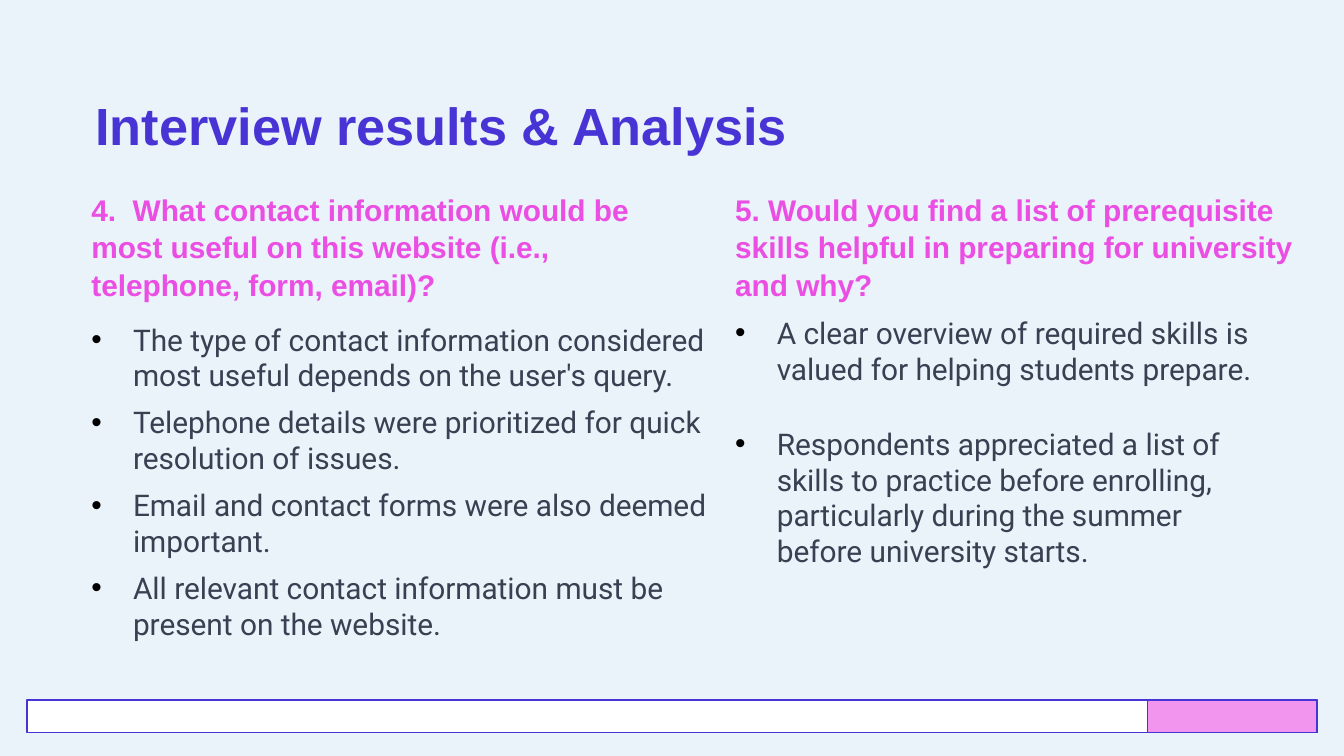
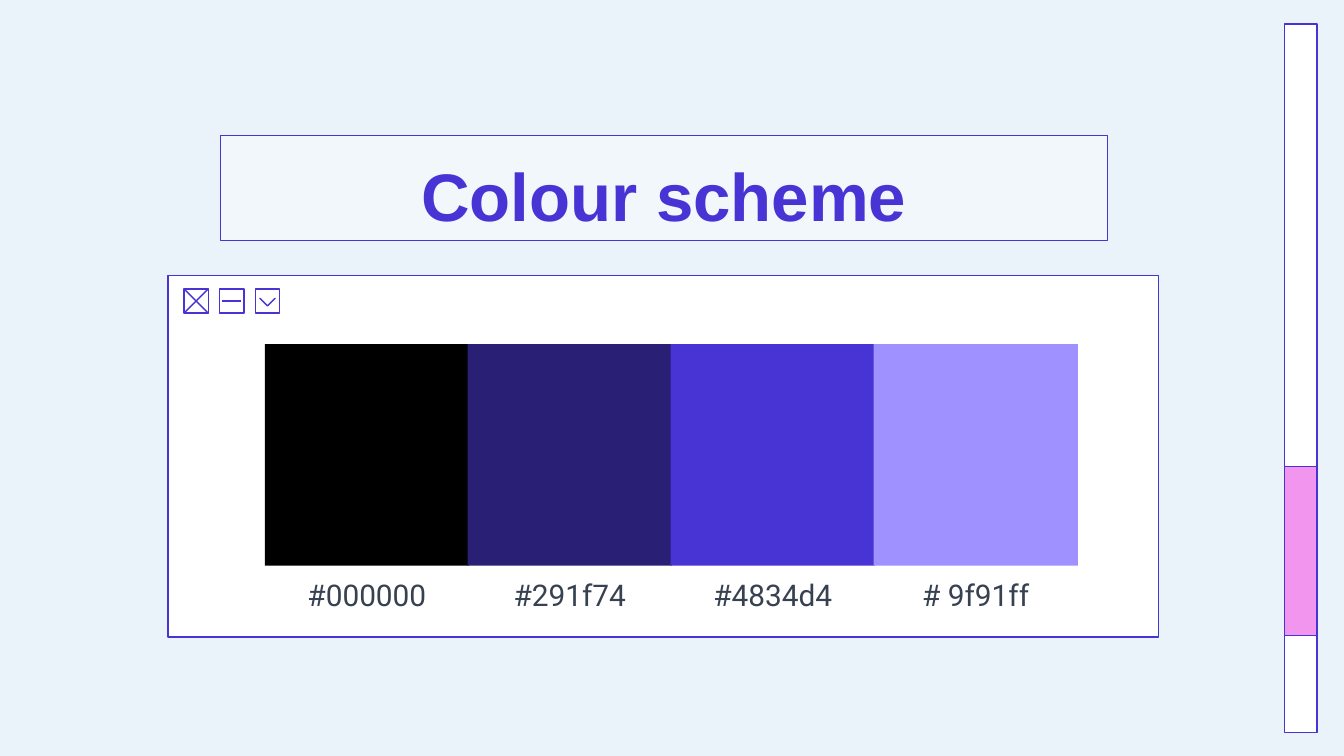
from collections import namedtuple

from lxml import etree
from pptx import Presentation
from pptx import util as u
from pptx.dml.color import RGBColor
from pptx.enum import shapes, text
from pptx.oxml import ns

INDIGO = RGBColor(0x48, 0x34, 0xD4)
NAVY = RGBColor(0x29, 0x1F, 0x74)
LAVENDER = RGBColor(0x9F, 0x91, 0xFF)
BLACK = RGBColor(0x00, 0x00, 0x00)
WHITE = RGBColor(0xFF, 0xFF, 0xFF)
SKY = RGBColor(0xEA, 0xF2, 0xFA)
PINK = RGBColor(0xF2, 0x95, 0xEE)
MAGENTA = RGBColor(0xEA, 0x4E, 0xE3)
SLATE = RGBColor(0x37, 0x41, 0x51)
YELLOW = RGBColor(0xF9, 0xCA, 0x24)
BLUSH = RGBColor(0xFF, 0xE8, 0xF5)

HEADING_FONT, BODY_FONT = "Arial", "Roboto"
COLUMNS, ROWS = 100, 56.25
CELL = u.Inches(10) // COLUMNS
RECTANGLE = shapes.MSO_SHAPE.RECTANGLE
LEFT, CENTER = text.PP_ALIGN.LEFT, text.PP_ALIGN.CENTER
TOP, MIDDLE = text.MSO_ANCHOR.TOP, text.MSO_ANCHOR.MIDDLE


class Box(namedtuple("Box", "left top width height")):
    def inner(self, left, top, width, height):
        return Box(self.left + left, self.top + top, width, height)

    def lengths(self):
        return [u.Emu(round(value * CELL)) for value in self]


def add_child(parent, tag, **attributes):
    return etree.SubElement(parent, ns.qn(tag), attributes)


def outline(shape):
    shape.line.color.rgb = INDIGO
    shape.line.width = u.Pt(0.75)


def add_block(parent, box, fill, kind=RECTANGLE, outlined=True):
    shape = parent.shapes.add_shape(kind, *box.lengths())
    shape.shadow.inherit = False
    shape.fill.solid()
    shape.fill.fore_color.rgb = fill
    if outlined:
        outline(shape)
    else:
        shape.line.fill.background()
    return shape


def place(shape, box):
    shape.left, shape.top, shape.width, shape.height = box.lengths()


def set_frame(frame, anchor=TOP, inset=0.05):
    frame.word_wrap = True
    frame.auto_size = text.MSO_AUTO_SIZE.NONE
    frame.vertical_anchor = anchor
    frame.margin_left = frame.margin_right = u.Inches(0.1)
    frame.margin_top = frame.margin_bottom = u.Inches(inset)


def format_paragraph(paragraph, font, size, color, bold=False, align=LEFT, spacing=1.0):
    paragraph.alignment = align
    paragraph.line_spacing = spacing
    paragraph.space_before = u.Pt(0)
    for run in paragraph.runs:
        run.font.name = font
        run.font.size = u.Pt(size)
        run.font.bold = bold
        run.font.color.rgb = color


def set_heading(shape, box, wording, size, color=INDIGO, align=LEFT, anchor=TOP, spacing=1.1):
    place(shape, box)
    set_frame(shape.text_frame, anchor, 0.1)
    shape.text_frame.text = wording
    format_paragraph(shape.text_frame.paragraphs[0], HEADING_FONT, size, color, True, align, spacing)


def add_bullet(paragraph):
    properties = paragraph._p.get_or_add_pPr()
    indent = u.Inches(0.31)
    properties.set("marL", str(indent))
    properties.set("indent", str(-indent))
    add_child(add_child(properties, "a:buClr"), "a:srgbClr", val=str(BLACK))
    add_child(properties, "a:buFont", typeface="Arial")
    add_child(properties, "a:buChar", char="•")


def set_bullets(shape, box, items, gap):
    place(shape, box)
    frame = shape.text_frame
    set_frame(frame)
    for index, item in enumerate(items):
        paragraph = frame.add_paragraph() if index else frame.paragraphs[0]
        paragraph.text = item
        add_bullet(paragraph)
        format_paragraph(paragraph, BODY_FONT, 16, SLATE)
        paragraph.space_after = u.Pt(6)
        if index:
            paragraph.space_before = u.Pt(gap)


def add_scrollbar(slide, box, thumb):
    add_block(slide, box, WHITE)
    add_block(slide, thumb, PINK)


def add_window_buttons(slide, box):
    group = slide.shapes.add_group_shape()
    side, pitch = 1.8, 2.65
    close, minimise, expand = [box.inner(pitch * index, 0, side, side) for index in range(3)]
    for button in (close, minimise, expand):
        add_block(group, button, WHITE)
    cross = add_block(group, close.inner(-0.8, -0.8, 3.4, 3.4), YELLOW, shapes.MSO_SHAPE.MATH_MULTIPLY)
    cross.adjustments[0] = 0
    chevron = add_block(group, expand.inner(0.5, 0.3, 0.8, 0.8), BLUSH, shapes.MSO_SHAPE.HALF_FRAME)
    chevron.adjustments[0] = chevron.adjustments[1] = 0
    chevron.rotation = 225
    left, top, width, _ = minimise.inner(0.2, side / 2, 1.4, 0).lengths()
    dash = group.shapes.add_connector(shapes.MSO_CONNECTOR.STRAIGHT, left, top, left + width, top)
    outline(dash)
    add_child(dash._element.spPr, "a:effectLst")


def add_palette(slide, box, swatches):
    pitch = 15.1
    for index, (color, code) in enumerate(swatches):
        swatch = box.inner(pitch * index, 0, 15.2, box.height)
        add_block(slide, swatch, color, outlined=False)
        label = slide.shapes.add_textbox(*swatch.inner(1.8, 16.8, 11.6, 3.7).lengths())
        set_frame(label.text_frame)
        label.text_frame.text = code
        format_paragraph(label.text_frame.paragraphs[0], BODY_FONT, 16, SLATE, align=CENTER)


def add_question(heading, answers, box, question, items, list_top, list_width, gap):
    set_heading(heading, box.inner(0, 0, 43.8, 9), question, 16, MAGENTA, spacing=1.05)
    set_bullets(answers, box.inner(0, list_top, list_width, box.height - list_top), items, gap)


def build_interview_slide(presentation, page):
    slide = presentation.slides.add_slide(presentation.slide_layouts.get_by_name("Comparison"))
    title, left_heading, left_list, right_heading, right_list = slide.placeholders
    bar = page.inner(2, 52.1, 96, 2.4)
    add_scrollbar(slide, bar, bar.inner(83.4, 0, 12.6, bar.height))
    set_heading(title, page.inner(6.1, 5.5, 81.8, 8.4), "Interview results & Analysis", 28)
    add_question(
        left_heading, left_list, page.inner(5.8, 13.1, 49.2, 35.4),
        "4.  What contact information would be most useful on this website (i.e., telephone, form, email)?",
        [
            "The type of contact information considered most useful depends on the user's query.",
            "Telephone details were prioritized for quick resolution of issues.",
            "Email and contact forms were also deemed important.",
            "All relevant contact information must be present on the website.",
        ],
        list_top=10.3, list_width=49.2, gap=0,
    )
    add_question(
        right_heading, right_list, page.inner(53.7, 13.1, 43.8, 29.9),
        "5. Would you find a list of prerequisite skills helpful in preparing for university and why?",
        [
            "A clear overview of required skills is valued for helping students prepare.",
            "Respondents appreciated a list of skills to practice before enrolling, "
            "particularly during the summer before university starts.",
        ],
        list_top=9.8, list_width=41.1, gap=15,
    )


def build_colour_slide(presentation, page):
    slide = presentation.slides.add_slide(presentation.slide_layouts.get_by_name("Title Only"))
    window = page.inner(12.5, 20.5, 73.7, 26.9)
    add_block(slide, window, WHITE)
    add_window_buttons(slide, window.inner(1.2, 1, 7.1, 1.8))

    title = slide.shapes.title
    set_heading(title, page.inner(16.4, 10.1, 66, 7.8), "Colour scheme", 36,
                align=CENTER, anchor=MIDDLE, spacing=1.15)
    title.fill.solid()
    title.fill.fore_color.rgb = WHITE
    color = title._element.spPr.find(ns.qn("a:solidFill"))[0]
    add_child(color, "a:alpha", val="41000")
    outline(title)

    add_palette(slide, window.inner(7.2, 5.1, 60.5, 16.5), [
        (BLACK, "#000000"),
        (NAVY, "#291f74"),
        (INDIGO, "#4834d4"),
        (LAVENDER, "# 9f91ff"),
    ])
    bar = page.inner(95.6, 1.8, 2.4, 52.7)
    add_scrollbar(slide, bar, bar.inner(0, 32.9, bar.width, 12.6))


def main():
    presentation = Presentation()
    page = Box(0, 0, COLUMNS, ROWS)
    _, _, presentation.slide_width, presentation.slide_height = page.lengths()
    background = presentation.slide_master.background.fill
    background.solid()
    background.fore_color.rgb = SKY
    build_interview_slide(presentation, page)
    build_colour_slide(presentation, page)
    presentation.save("out.pptx")


if __name__ == "__main__":
    main()
